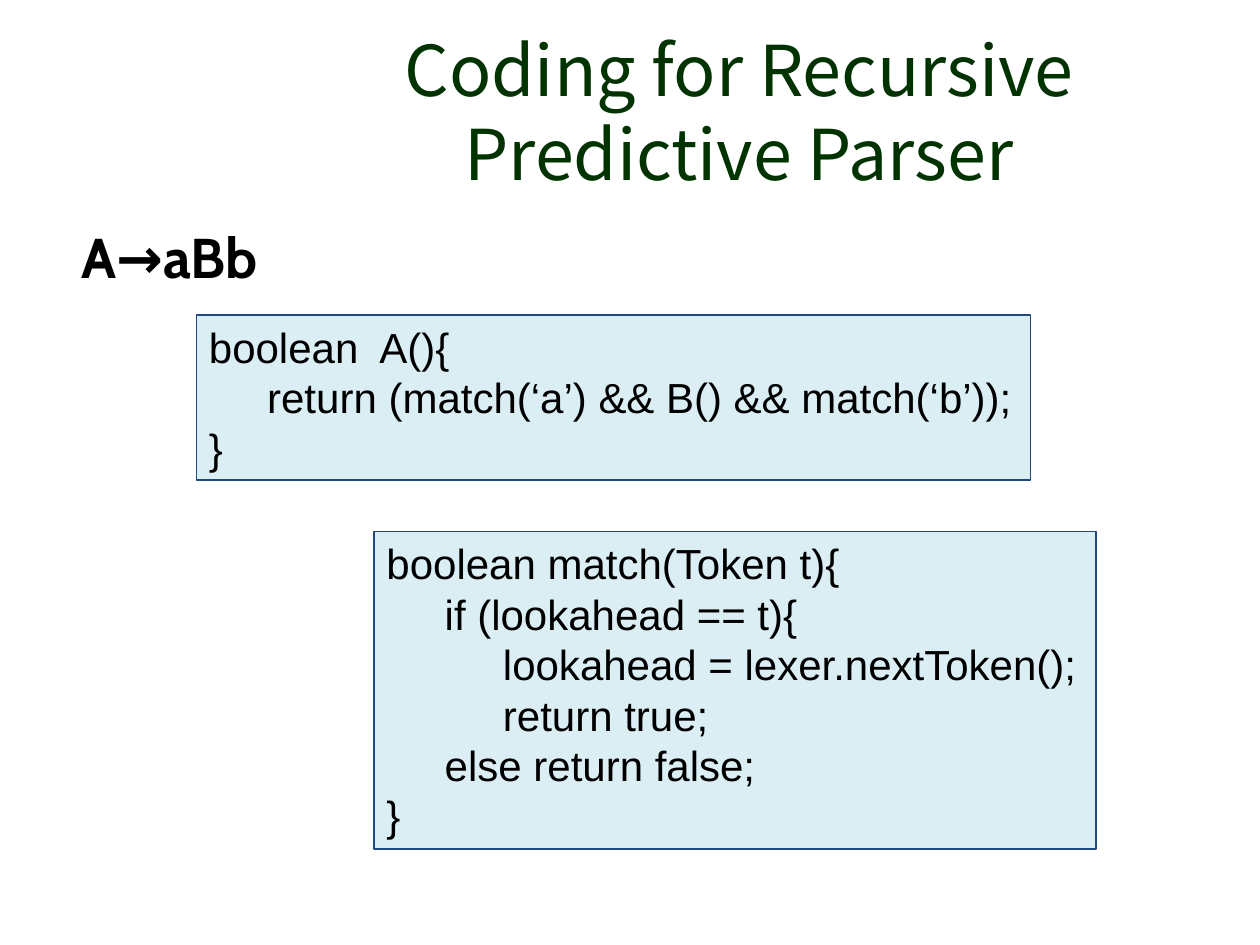
from dataclasses import dataclass

from pptx import Presentation
from pptx.dml.color import RGBColor
from pptx.enum.shapes import MSO_SHAPE
from pptx.enum.text import MSO_ANCHOR, MSO_AUTO_SIZE, PP_ALIGN
from pptx.util import Pt

RECTANGLE = MSO_SHAPE.RECTANGLE
TOP, MIDDLE = MSO_ANCHOR.TOP, MSO_ANCHOR.MIDDLE
FIT_SHAPE = MSO_AUTO_SIZE.SHAPE_TO_FIT_TEXT
LEFT, CENTER = PP_ALIGN.LEFT, PP_ALIGN.CENTER

DARK_GREEN = RGBColor(0x00, 0x33, 0x00)
BLACK = RGBColor(0x00, 0x00, 0x00)
PALE_BLUE = RGBColor(0xDB, 0xEE, 0xF4)
NAVY = RGBColor(0x1F, 0x49, 0x7D)

LINE_FACTOR = 1.2


@dataclass(frozen=True)
class Frame:
    left: float
    top: float
    width: float
    height: float

    def lengths(self) -> tuple:
        return Pt(self.left), Pt(self.top), Pt(self.width), Pt(self.height)


@dataclass(frozen=True)
class Style:
    font: str
    size: float
    color: RGBColor
    bold: bool = False
    align: PP_ALIGN = LEFT
    fixed_pitch: bool = True


@dataclass(frozen=True)
class Listing:
    frame: Frame
    lines: tuple[str, ...]


TITLE_STYLE = Style("Noto Sans CJK SC", 40, DARK_GREEN, align=CENTER)
RULE_STYLE = Style("Cabin", 32, BLACK, bold=True, fixed_pitch=False)
CODE_STYLE = Style("Arial", 24, BLACK)

LISTINGS = (
    Listing(Frame(112.3, 180, 476.6, 94.3), (
        "boolean  A(){",
        "     return (match(‘a’) && B() && match(‘b’));",
        "}",
    )),
    Listing(Frame(213.8, 303.8, 412.6, 181.4), (
        "boolean match(Token t){",
        "     if (lookahead == t){",
        "          lookahead = lexer.nextToken();",
        "          return true;",
        "     else return false;",
        "}",
    )),
)


def write_lines(text_frame, lines: tuple[str, ...], style: Style) -> None:
    for index, line in enumerate(lines):
        para = text_frame.add_paragraph() if index else text_frame.paragraphs[0]
        para.alignment = style.align
        if style.fixed_pitch:
            para.line_spacing = Pt(style.size * LINE_FACTOR)
        span = para.add_run()
        span.text = line
        span.font.name = style.font
        span.font.size = Pt(style.size)
        span.font.bold = style.bold
        span.font.color.rgb = style.color


def add_text(page, frame: Frame, text: str, style: Style, anchor: MSO_ANCHOR = TOP):
    box = page.shapes.add_textbox(*frame.lengths())
    box.text_frame.word_wrap = True
    box.text_frame.vertical_anchor = anchor
    write_lines(box.text_frame, (text,), style)
    return box


def add_listing(page, listing: Listing) -> None:
    box = page.shapes.add_shape(RECTANGLE, *listing.frame.lengths())
    box.shadow.inherit = False
    box.fill.solid()
    box.fill.fore_color.rgb = PALE_BLUE
    box.line.color.rgb = NAVY
    box.line.width = Pt(0.75)
    box.text_frame.word_wrap = False
    box.text_frame.auto_size = FIT_SHAPE
    box.text_frame.vertical_anchor = TOP
    write_lines(box.text_frame, listing.lines, CODE_STYLE)


def main() -> None:
    deck = Presentation()
    deck.slide_width, deck.slide_height = Pt(720), Pt(540)
    page = deck.slides.add_slide(deck.slide_layouts[6])

    title = add_text(page, Frame(135.4, 22.3, 573.8, 73.4),
                     "Coding for Recursive Predictive Parser", TITLE_STYLE, MIDDLE)
    title.text_frame.margin_top = Pt(11.6)
    add_text(page, Frame(39.6, 123.8, 644.4, 39.6), "A→aBb", RULE_STYLE)
    for listing in LISTINGS:
        add_listing(page, listing)

    deck.save("out.pptx")


if __name__ == "__main__":
    main()
